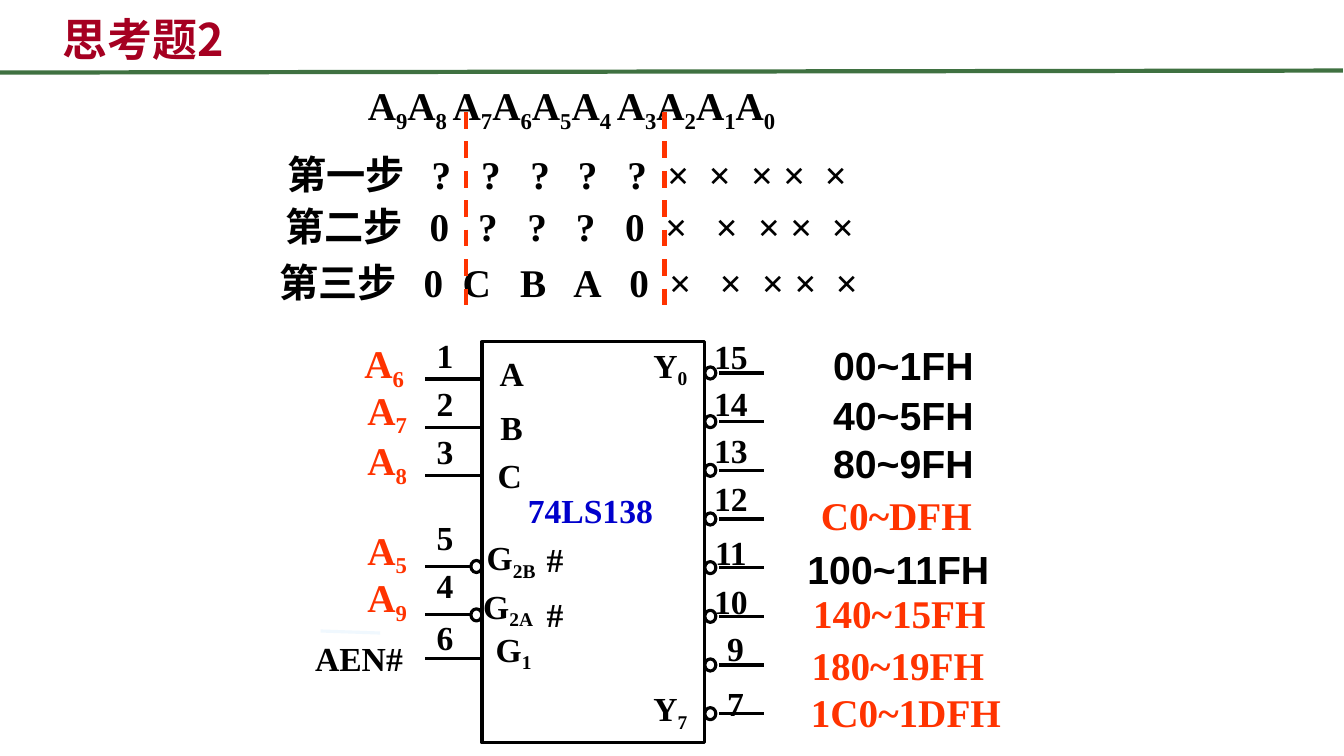
from lxml.etree import SubElement
from pptx import Presentation
from pptx.dml.color import RGBColor
from pptx.enum.dml import MSO_LINE
from pptx.enum.shapes import MSO_CONNECTOR, MSO_SHAPE
from pptx.enum.text import MSO_ANCHOR, MSO_AUTO_SIZE, PP_ALIGN
from pptx.oxml.ns import qn
from pptx.util import Inches, Pt

HEX = {"black": "000000", "red": "FF3300", "blue": "0000CC",
       "title": "A50021", "green": "3F7141", "pale": "F0F8FE"}
SERIF, SANS, HAN = "Times New Roman", "Arial", "Noto Sans CJK SC"
CHIP_X, CHIP_Y, CHIP_W, CHIP_H = 4.78, 3.39, 2.21, 3.98
DOT_W, DOT_H = 0.11, 0.12

# Top, left edge of the label, its cells, and the centre of each cell
STEPS = [
    (1.44, 2.85, "第一步 ? ? ? ? ? × × × × ×",
     (4.38, 4.87, 5.36, 5.83, 6.32, 6.73, 7.14, 7.56, 7.88, 8.29)),
    (1.96, 2.83, "第二步 0 ? ? ? 0 × × × × ×",
     (4.36, 4.84, 5.33, 5.81, 6.3, 6.71, 7.21, 7.63, 7.95, 8.36)),
    (2.51, 2.77, "第三步 0 C B A 0 × × × × ×",
     (4.3, 4.73, 5.29, 5.83, 6.34, 6.75, 7.25, 7.67, 7.99, 8.4)),
]
# Pin number, its top, wire height, has a bubble
INPUTS = [("1", 3.27, 3.76, False), ("2", 3.75, 4.24, False),
          ("3", 4.23, 4.72, False), ("5", 5.08, 5.62, True),
          ("4", 5.56, 6.1, True), ("6", 6.07, 6.53, False)]
OUTPUTS = [("15", 3.28), ("14", 3.75), ("13", 4.22), ("12", 4.69),
           ("11", 5.23), ("10", 5.71), ("9", 6.18), ("7", 6.73)]
# Text, left, top, width; "|" switches between base and subscript
SIGNALS = [("A|6", 3.5, 3.32, 0.62), ("A|7", 3.53, 3.78, 0.62),
           ("A|8", 3.53, 4.28, 0.62), ("A|5", 3.53, 5.17, 0.62),
           ("A|9", 3.53, 5.64, 0.62), ("C0~DFH", 8.03, 4.83, 1.72),
           ("140~15FH", 7.92, 5.8, 2), ("180~19FH", 7.94, 6.31, 1.93),
           ("1C0~1DFH", 7.93, 6.78, 2.11)]
RANGES = [("00~1FH", 7.86, 3.34), ("40~5FH", 7.86, 3.83),
          ("80~9FH", 7.86, 4.31), ("100~11FH", 7.81, 5.36)]
PORTS = [("Y|0", 6.37, 3.37, 0.56), ("Y|7", 6.37, 6.78, 0.56),
         ("A", 4.85, 3.45, 0.45), ("B", 4.86, 3.99, 0.43),
         ("C", 4.83, 4.46, 0.45), ("G|2B", 4.71, 5.28, 0.72),
         ("G|2A", 4.67, 5.76, 0.74), ("G|1", 4.81, 6.19, 0.57),
         ("#", 5.32, 5.3, 0.37), ("#", 5.32, 5.84, 0.37),
         ("AEN#", 3.02, 6.28, 1.08)]


def color(name):
    return RGBColor.from_string(HEX[name])


def style(run, size, tint, face):
    font = run.font
    font.name, font.size, font.bold = face, Pt(size), True
    font.color.rgb = color(tint)
    SubElement(run._r.get_or_add_rPr(), qn("a:ea")).set("typeface", HAN)


def label(slide, text, x, y, w, size=24, tint="black", face=SERIF,
          align=PP_ALIGN.CENTER, wrap=False):
    """Add a bold line of text; parts after every odd "|" are subscripts."""
    box = slide.shapes.add_textbox(Inches(x), Inches(y), Inches(w),
                                   Inches(0.5 if size == 24 else 0.57))
    frame = box.text_frame
    frame.word_wrap = wrap
    frame.vertical_anchor = MSO_ANCHOR.TOP
    para = frame.paragraphs[0]
    para.alignment = align
    for i, part in enumerate(text.split("|")):
        run = para.add_run()
        run.text = part
        style(run, size, tint, face)
        if i % 2:
            run.font._element.set("baseline", "-22000")
    return para


def line(slide, x1, y1, x2, y2, tint="black", width=2.25, dash=False):
    wire = slide.shapes.add_connector(MSO_CONNECTOR.STRAIGHT, Inches(x1),
                                      Inches(y1), Inches(x2), Inches(y2))
    wire.line.color.rgb = color(tint)
    wire.line.width = Pt(width)
    if dash:
        wire.line.dash_style = MSO_LINE.DASH
    SubElement(wire._element.spPr, qn("a:effectLst"))


def outline(slide, kind, x, y, w, h):
    shape = slide.shapes.add_shape(kind, Inches(x), Inches(y),
                                   Inches(w), Inches(h))
    shape.shadow.inherit = False
    shape.fill.background()
    shape.line.color.rgb = color("black")
    shape.line.width = Pt(2.25)


def bubble(slide, x, y):
    outline(slide, MSO_SHAPE.OVAL, x, y - DOT_H / 2, DOT_W, DOT_H)


def heading(slide):
    title = slide.shapes.title
    title.left, title.top = Inches(0.52), Inches(-0.01)
    title.width, title.height = Inches(2), Inches(0.71)
    frame = title.text_frame
    frame.text = "思考题2"
    frame.auto_size = MSO_AUTO_SIZE.NONE
    frame.vertical_anchor = MSO_ANCHOR.BOTTOM
    para = frame.paragraphs[0]
    para.alignment = PP_ALIGN.LEFT
    style(para.runs[0], 32, "title", HAN)
    line(slide, 0, 0.72, 13.32, 0.7, "green", 3)


def step(slide, y, left, text, stops):
    """Add one row whose cells are centred on tab stops."""
    para = label(slide, text.replace(" ", "\t"), left - 0.1, y, 6, 28,
                 align=PP_ALIGN.LEFT, wrap=True)
    tabs = SubElement(para._p.get_or_add_pPr(), qn("a:tabLst"))
    for stop in stops:
        tab = SubElement(tabs, qn("a:tab"))
        tab.set("pos", str(Inches(stop - left)))
        tab.set("algn", "ctr")


def table(slide):
    label(slide, "A|9|A|8 |A|7|A|6|A|5|A|4 |A|3|A|2|A|1|A|0",
          3.55, 0.76, 5.14, 28, align=PP_ALIGN.LEFT, wrap=True)
    for row in STEPS:
        step(slide, *row)
    for x in (4.62, 6.59):
        line(slide, x, 1.11, x, 3.07, "red", 3, True)


def chip(slide):
    outline(slide, MSO_SHAPE.RECTANGLE, CHIP_X, CHIP_Y, CHIP_W, CHIP_H)
    for pin, top, y, low in INPUTS:
        end = CHIP_X - DOT_W if low else CHIP_X
        line(slide, 4.22, y, end, y)
        if low:
            bubble(slide, end, y)
        label(slide, pin, 4.23, top, 0.37)
    for i, (pin, top) in enumerate(OUTPUTS):
        y = 3.7 + i * 3.38 / 7
        bubble(slide, CHIP_X + CHIP_W, y)
        line(slide, 7.13, y, 7.58, y)
        wide = len(pin) > 1
        label(slide, pin, 6.98 if wide else 7.11, top, 0.54 if wide else 0.37)
    for port in PORTS:
        label(slide, *port)
    label(slide, "74LS138", 5.13, 4.81, 1.45, tint="blue")


def main():
    deck = Presentation()
    deck.slide_width, deck.slide_height = Inches(13.33), Inches(7.5)
    slide = deck.slides.add_slide(deck.slide_layouts[5])
    heading(slide)
    line(slide, 3.18, 6.26, 3.77, 6.28, "pale")
    table(slide)
    chip(slide)
    for signal in SIGNALS:
        label(slide, *signal, 28, "red")
    for text, x, y in RANGES:
        label(slide, text, x, y, 2.2, 28, face=SANS)
    deck.save("out.pptx")


if __name__ == "__main__":
    main()
